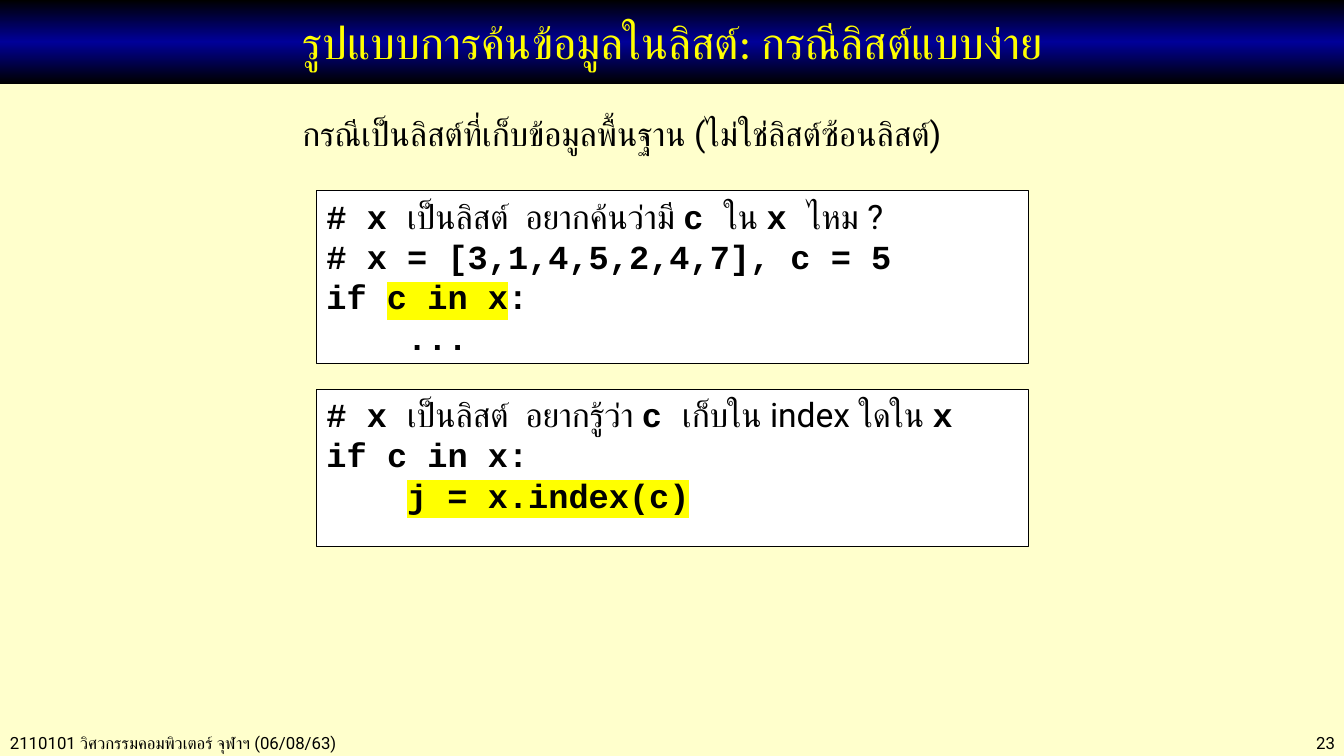
import copy

import lxml.etree
import pptx
import pptx.dml.color
import pptx.enum.shapes
import pptx.enum.text
import pptx.oxml.ns
import pptx.util

Inches = pptx.util.Inches
Pt = pptx.util.Pt
ALIGN = pptx.enum.text.PP_ALIGN
ANCHOR = pptx.enum.text.MSO_ANCHOR
COLORS = {
    "page": "FFFFCC",
    "ink": "000000",
    "band": "000099",
    "head": "FFFF00",
    "mark": "FFFF00",
    "box": "FFFFFF",
}
TITLE = {"size": Pt(32), "name": "Calibri"}
NOTE = {"size": Pt(12), "name": "Roboto"}
TEXT = {"size": Pt(24), "name": "Roboto", "bold": False}
CODE = {"size": Pt(24), "name": "Courier New", "bold": True}
FRAME = {
    "auto_size": pptx.enum.text.MSO_AUTO_SIZE.NONE,
    "word_wrap": True,
    "margin_left": Inches(0.1),
    "margin_right": Inches(0.1),
    "margin_top": Inches(0.05),
    "margin_bottom": Inches(0.05),
}

FIND = [
    [("# x ", CODE), ("เป็นลิสต์  อยากค้นว่ามี ", TEXT), ("c ", CODE),
     ("ใน ", TEXT), ("x ", CODE), ("ไหม ?", TEXT)],
    [("# x = [3,1,4,5,2,4,7], c = 5", CODE)],
    [("if ", CODE), ("c in x", CODE, "mark"), (":", CODE)],
    [("    ...", CODE)],
]
INDEX = [
    [("# x ", CODE), ("เป็นลิสต์  อยากรู้ว่า ", TEXT), ("c ", CODE),
     ("เก็บใน index ใดใน ", TEXT), ("x", CODE)],
    [("if c in x:", CODE)],
    [("    ", CODE), ("j = x.index(c)", CODE, "mark")],
]


def shade(name):
    return pptx.dml.color.RGBColor.from_string(COLORS[name])


def apply(target, values):
    for key, value in values.items():
        setattr(target, key, value)


def add_run(line, text, style, mark=None, color="ink"):
    run = line.add_run()
    run.text = text
    run.font.color.rgb = shade(color)
    props = run.font._element
    tag = pptx.oxml.ns.qn
    if mark:
        light = lxml.etree.Element(tag("a:highlight"))
        lxml.etree.SubElement(light, tag("a:srgbClr"), val=COLORS[mark])
        props.find(tag("a:solidFill")).addnext(light)
    apply(run.font, style)
    lxml.etree.SubElement(props, tag("a:cs"), typeface=style["name"])


def write(shape, lines, align=ALIGN.LEFT, anchor=ANCHOR.TOP, color="ink"):
    frame = shape.text_frame
    apply(frame, FRAME)
    frame.vertical_anchor = anchor
    for i, runs in enumerate(lines):
        line = frame.add_paragraph() if i else frame.paragraphs[0]
        line.alignment = align
        for run in runs:
            add_run(line, *run, color=color)


def add_head(slide, text):
    head = slide.shapes.title
    apply(head, {"left": 0, "top": 0,
                 "width": Inches(13.34), "height": Inches(0.83)})
    head.fill.gradient()
    head.fill.gradient_angle = 90
    stops = head.fill.gradient_stops
    first = stops[0]._gs
    first.addnext(copy.deepcopy(first))
    names = ("ink", "band", "ink")
    for i, (stop, name) in enumerate(zip(head.fill.gradient_stops, names)):
        stop.position = i / 2
        stop.color.rgb = shade(name)
    write(head, [[(text, TITLE)]], ALIGN.CENTER, ANCHOR.MIDDLE, "head")


def add_text(slide, x, y, w, h, text, style, align=ALIGN.LEFT):
    area = [Inches(n) for n in (x, y, w, h)]
    write(slide.shapes.add_textbox(*area), [[(text, style)]], align)


def add_code(slide, y, h, lines):
    area = [Inches(n) for n in (3.14, y, 7.06, h)]
    kind = pptx.enum.shapes.MSO_SHAPE.RECTANGLE
    box = slide.shapes.add_shape(kind, *area)
    box.shadow.inherit = False
    box.fill.solid()
    box.fill.fore_color.rgb = shade("box")
    box.line.color.rgb = shade("ink")
    box.line.width = Pt(0.75)
    write(box, lines)


def main():
    deck = pptx.Presentation()
    apply(deck, {"slide_width": Inches(13.33), "slide_height": Inches(7.5)})
    slide = deck.slides.add_slide(deck.slide_layouts[5])
    slide.background.fill.solid()
    slide.background.fill.fore_color.rgb = shade("page")
    add_text(slide, 0, 7.22, 5.2, 0.3,
             "2110101 วิศวกรรมคอมพิวเตอร์ จุฬาฯ (06/08/63)", NOTE)
    add_text(slide, 11.5, 7.22, 1.84, 0.3, "23", NOTE, ALIGN.RIGHT)
    add_head(slide, "รูปแบบการค้นข้อมูลในลิสต์: กรณีลิสต์แบบง่าย")
    add_code(slide, 1.89, 1.72, FIND)
    add_code(slide, 3.86, 1.56, INDEX)
    add_text(slide, 2.9, 1.07, 7.53, 0.5,
             "กรณีเป็นลิสต์ที่เก็บข้อมูลพื้นฐาน (ไม่ใช่ลิสต์ซ้อนลิสต์)", TEXT)
    deck.save("out.pptx")


if __name__ == "__main__":
    main()
